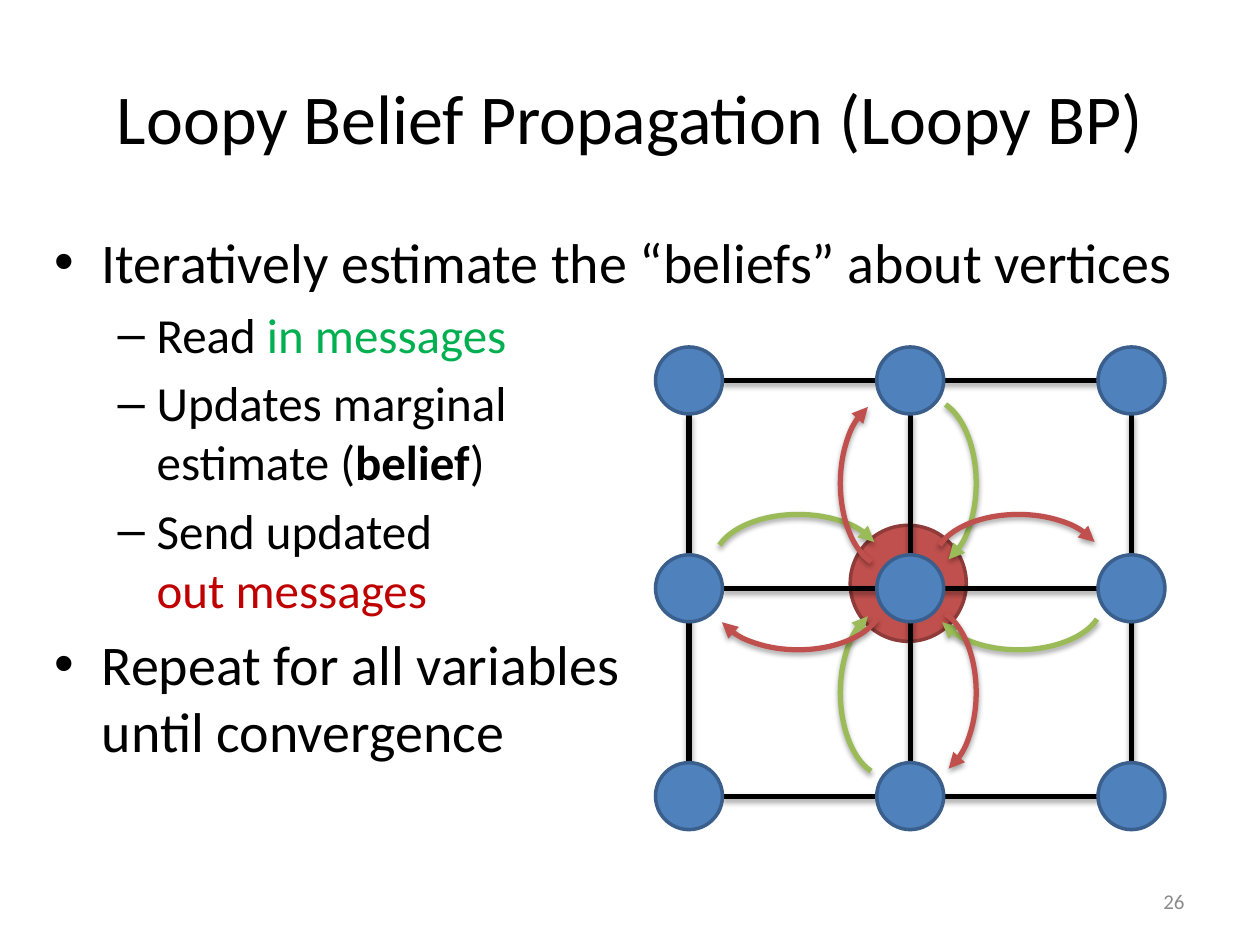
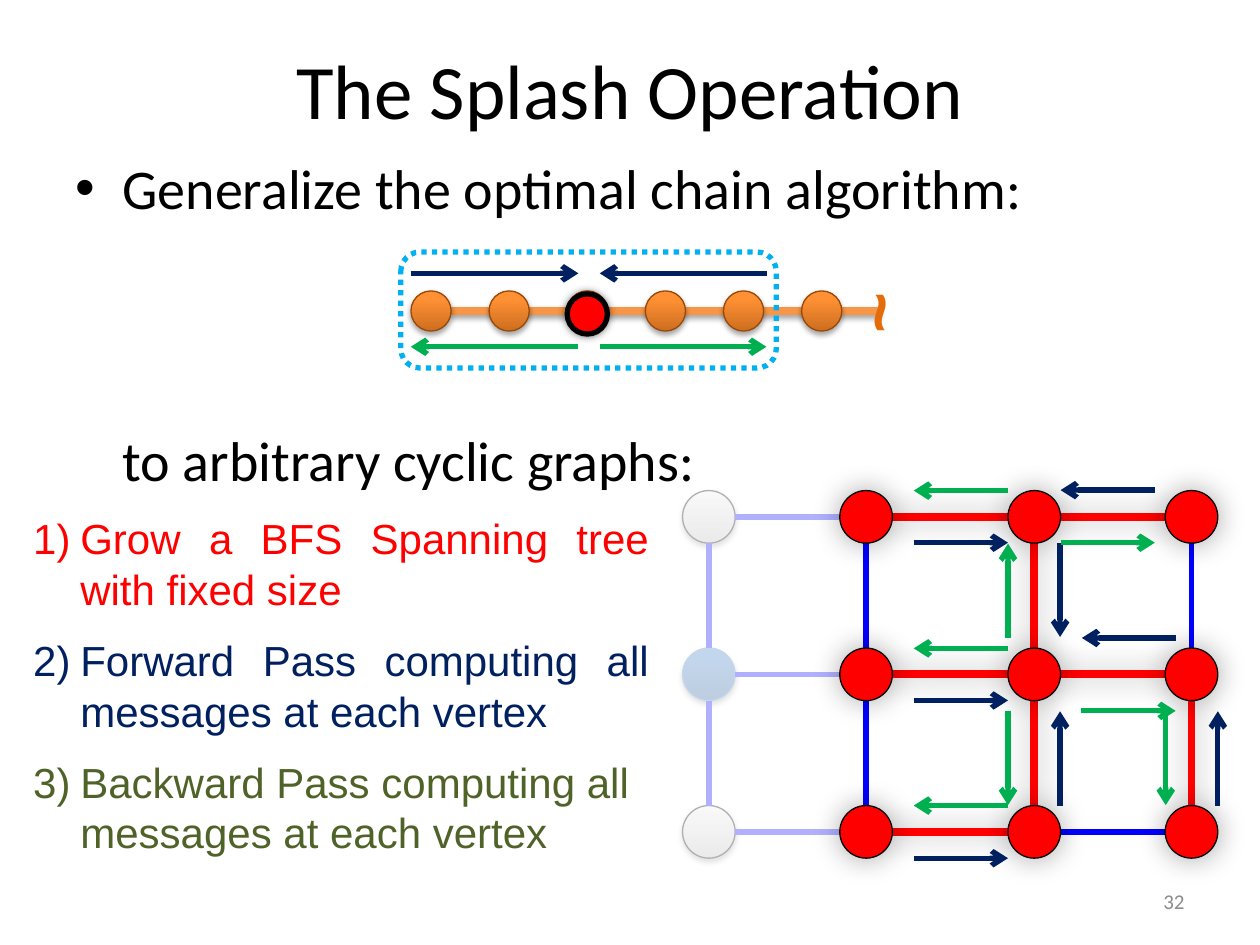
from lxml import etree
from pptx import Presentation
from pptx.dml.color import RGBColor
from pptx.enum.dml import MSO_LINE
from pptx.enum.shapes import MSO_CONNECTOR, MSO_SHAPE
from pptx.enum.text import MSO_ANCHOR, PP_ALIGN
from pptx.oxml.ns import qn
from pptx.util import Cm, Pt

STRAIGHT = MSO_CONNECTOR.STRAIGHT
OVAL, ARC = MSO_SHAPE.OVAL, MSO_SHAPE.ARC
RECT, ROUND = MSO_SHAPE.RECTANGLE, MSO_SHAPE.ROUNDED_RECTANGLE
DOTTED = MSO_LINE.ROUND_DOT
MIDDLE, TOP = MSO_ANCHOR.MIDDLE, MSO_ANCHOR.TOP
LEFT, CENTER, RIGHT = PP_ALIGN.LEFT, PP_ALIGN.CENTER, PP_ALIGN.RIGHT
JUSTIFY = PP_ALIGN.JUSTIFY

BLACK = RGBColor(0, 0, 0)
WHITE = RGBColor(255, 255, 255)
GRAY = RGBColor(0x8C, 0x8C, 0x8C)
STEEL = RGBColor(0x4F, 0x81, 0xBD)
STEEL_EDGE = RGBColor(0x3A, 0x5F, 0x8C)
BRICK = RGBColor(0xC0, 0x50, 0x4D)
BRICK_EDGE = RGBColor(0x8E, 0x3B, 0x39)
LIME = RGBColor(0x9B, 0xBB, 0x59)
GREEN = RGBColor(0, 0xB0, 0x50)
DARK_RED = RGBColor(0xC0, 0, 0)
RED = RGBColor(255, 0, 0)
BLUE = RGBColor(0, 0, 255)
NAVY = RGBColor(0, 0x20, 0x60)
OLIVE = RGBColor(0x4F, 0x62, 0x28)
SKY = RGBColor(0, 0xB0, 0xF0)
ORANGE = RGBColor(0xF7, 0x96, 0x46)
RUST = RGBColor(0x98, 0x48, 0x07)
TILDE = RGBColor(0xE4, 0x6C, 0x0A)
BLUE_EDGE = RGBColor(0x4B, 0x7E, 0xBC)
# Gradients: bottom colour, top colour, where the top colour is reached
AMBER = (RGBColor(0xCC, 0x6E, 0x20), RGBColor(0xFF, 0x90, 0x34), 0.8)
SILVER = (RGBColor(0xBD, 0xBD, 0xBD), RGBColor(0xEE, 0xEE, 0xEE), 1)
AZURE = (RGBColor(0x2F, 0x5F, 0x99), RGBColor(0x3D, 0x7C, 0xC7), 0.8)
# Shadows: opacity %, blur pt, distance pt, angle
SOFT = (35, 3.1, 1.8, 90)
GLOW = (35, 17, 0, 0)
HALO = (40, 5, 0, 0)


def pen(shape, color, width, shade=None, tip=None):
    """Set outline, shadow and end arrowhead."""
    shape.line.color.rgb = color
    shape.line.width = Pt(width)
    props = shape.element.spPr
    if tip:
        etree.SubElement(props.find(qn("a:ln")), qn("a:tailEnd"), type=tip)
    effects = etree.SubElement(props, qn("a:effectLst"))
    if shade:
        alpha, blur, dist, angle = shade
        outer = etree.SubElement(
            effects, qn("a:outerShdw"), blurRad=str(Pt(blur)), dist=str(Pt(dist)),
            dir=str(angle * 60000), algn="ctr", rotWithShape="0")
        tint = etree.SubElement(outer, qn("a:srgbClr"), val="000000")
        etree.SubElement(tint, qn("a:alpha"), val=str(alpha * 1000))
    return shape


def dot(page, x, y, size, fill, edge, width, shade=None):
    """Draw a circle around the point x, y."""
    disc = page.shapes.add_shape(
        OVAL, Cm(x - size / 2), Cm(y - size / 2), Cm(size), Cm(size))
    if isinstance(fill, RGBColor):
        disc.fill.solid()
        disc.fill.fore_color.rgb = fill
    else:
        disc.fill.gradient()
        disc.fill.gradient_angle = 90
        low, high = disc.fill.gradient_stops
        low.color.rgb, high.color.rgb, high.position = fill
        low.position = 0
    pen(disc, edge, width, shade)


deck = Presentation()
deck.slide_width, deck.slide_height = Cm(25.4), Cm(19.05)
loopy, splash = [deck.slides.add_slide(deck.slide_layouts[5]) for _ in range(2)]

# Loopy BP: grid of variables
cols = [13.89 + 4.46 * i for i in range(3)]
rows = [7.67 + 4.19 * i for i in range(3)]
SIZE = 1.35
dot(loopy, 18.31, 11.76, 2.34, BRICK, BRICK_EDGE, 2)
wires = [(cols[0] + SIZE / 2, y, cols[2] - SIZE / 2, y) for y in rows]
wires += [(x, rows[0] + SIZE / 2, x, rows[2] - SIZE / 2) for x in cols]
for ends in wires:
    pen(loopy.shapes.add_connector(STRAIGHT, *map(Cm, ends)), BLACK, 3, SOFT)
for y in rows:
    for x in cols:
        dot(loopy, x, y, SIZE, STEEL, STEEL_EDGE, 2)

# Loopy BP: messages into (green) and out of (red) the middle
for color, sign in ((LIME, 1), (BRICK, -1)):
    for turn, dx, dy in ((0, 0.42, -2.11 * sign), (90, 2.22 * sign, 0.3),
                         (180, -0.42, 2.11 * sign), (270, -2.22 * sign, -0.53)):
        arc = loopy.shapes.add_shape(
            ARC, Cm(18.31 + dx - 0.95), Cm(11.85 + dy - 1.69), Cm(1.9), Cm(3.38))
        arc.adjustments[0], arc.adjustments[1] = 169.09, 45.37
        arc.rotation = turn
        arc.fill.background()
        pen(arc, color, 3, SOFT, "triangle")

# Splash: chain
pen(splash.shapes.add_connector(STRAIGHT, Cm(9.09), Cm(6.27), Cm(17.73), Cm(6.27)),
    ORANGE, 4.5, SOFT)
for i in range(6):
    dot(splash, 8.69 + 1.575 * i, 6.27, 0.81, AMBER, RUST, 0.75, SOFT)
frame = splash.shapes.add_shape(ROUND, Cm(8.08), Cm(5.08), Cm(7.57), Cm(2.34))
frame.fill.background()
pen(frame, SKY, 3).line.dash_style = DOTTED
dot(splash, 11.84, 6.33, 0.81, RED, BLACK, 3, HALO)

# Splash: grid, with the first column under a pale veil
cols = [14.29, 17.46, 20.85, 24.02]
rows = [10.42 + 3.175 * i for i in range(3)]
SIZE = 1.06
REACH = SIZE / 2
edges = [(c, r, 1, 0) for c in range(3) for r in range(3)]
edges += [(c, r, 0, 1) for c in range(4) for r in range(2)]
plain = [(2, 2, 1, 0), (1, 0, 0, 1), (1, 1, 0, 1), (3, 0, 0, 1)]
faded = [e for e in edges if e[0] == 0]
tree = [e for e in edges if e[0] and e not in plain]
for r, fill, edge in ((0, SILVER, BLACK), (1, AZURE, BLUE_EDGE), (2, SILVER, BLACK)):
    dot(splash, cols[0], rows[r], SIZE, fill, edge, 0.75, SOFT)
for group, color, width, shade in ((faded, BLUE, 3, None), (plain + tree, BLUE, 3, None),
                                   (tree, RED, 4.5, GLOW)):
    for c, r, dx, dy in group:
        ends = (cols[c] + dx * REACH, rows[r] + dy * REACH,
                cols[c + dx] - dx * REACH, rows[r + dy] - dy * REACH)
        pen(splash.shapes.add_connector(STRAIGHT, *map(Cm, ends)), color, width, shade)
    if group is faded:
        veil = splash.shapes.add_shape(RECT, Cm(13.55), Cm(9.47), Cm(11.63), Cm(8.05))
        veil.shadow.inherit = False
        veil.fill.solid()
        veil.fill.fore_color.rgb = WHITE
        veil.line.fill.background()
        tint = veil.element.spPr.find(qn("a:solidFill")).find(qn("a:srgbClr"))
        etree.SubElement(tint, qn("a:alpha"), val="69000")
for x in cols[1:]:
    for y in rows:
        dot(splash, x, y, SIZE, RED, BLACK, 0.75, GLOW)

# Splash: forward (navy) and backward (green) arrows: x, y, dx, dy
STEP = 1.9
forward = [(18.42, y, STEP, 0) for y in (10.94, 14.12, 17.3)]
forward += [(23.28, 9.88, -STEP, 0), (23.71, 12.86, -STEP, 0), (21.37, 10.94, 0, STEP),
            (21.37, 16.24, 0, -STEP), (24.55, 16.24, 0, -STEP),
            (8.28, 5.51, 3.38, 0), (15.46, 5.51, -3.37, 0)]
backward = [(20.32, y, -STEP, 0) for y in (9.89, 13.07, 16.24)]
backward += [(21.38, 10.94, STEP, 0), (21.8, 14.33, STEP, 0), (20.32, 14.33, 0, STEP),
             (20.32, 12.86, 0, -STEP), (23.5, 14.33, 0, STEP),
             (11.66, 6.99, -3.38, 0), (12.09, 6.99, 3.36, 0)]
for color, group in ((NAVY, forward), (GREEN, backward)):
    for x, y, dx, dy in group:
        pen(splash.shapes.add_connector(STRAIGHT, Cm(x), Cm(y), Cm(x + dx), Cm(y + dy)),
            color, 3, None, "arrow")

# Titles
for page, text, size, top in ((loopy, "Loopy Belief Propagation (Loopy BP)", 40, 0.76),
                              (splash, "The Splash Operation", 44, 0.2)):
    title = page.shapes.title
    for name, value in dict(left=1.27, top=top, width=22.86, height=3.18).items():
        setattr(title, name, Cm(value))
    title.text_frame.text = text
    title.text_frame.vertical_anchor = MIDDLE
    para = title.text_frame.paragraphs[0]
    para.alignment = CENTER
    for name, value in dict(name="Calibri", size=Pt(size)).items():
        setattr(para.font, name, value)
    para.font.color.rgb = BLACK

# Paragraph kinds: font, size, left edge, hang, bullet, space before, alignment
HEAD = ("Calibri", 32, 0.95, 0.95, "•", 6.4, LEFT)
SUB = ("Calibri", 28, 2.06, 0.79, "–", 5.6, LEFT)
MORE = ("Calibri", 32, 0.95, 0, None, 117, LEFT)
STEPS = ("Arial", 24, 0.95, 0.95, "1)", 12, JUSTIFY)
LAST = STEPS[:-1] + (LEFT,)
NUMBER = ("Calibri", 12, 0, 0, None, 0, RIGHT)
WAVE = ("Arial", 40, 0, 0, None, 0, LEFT)
FOOT = (18.2, 17.66, 5.93, 1.01)

# Text boxes: slide, place, top inset, anchor, turn, paragraphs of (text, colour, bold)
boxes = [
    (loopy, (0.85, 4.45, 23.5, 11.85), 0.13, TOP, 0, [
        (HEAD, [("Iteratively estimate the “beliefs” about vertices", BLACK, False)]),
        (SUB, [("Read ", BLACK, False), ("in messages", GREEN, False)]),
        (SUB, [("Updates marginal\nestimate (", BLACK, False),
               ("belief", BLACK, True), (")", BLACK, False)]),
        (SUB, [("Send updated \n", BLACK, False), ("out messages", DARK_RED, False)]),
        (HEAD, [("Repeat for all variables\nuntil convergence", BLACK, False)])]),
    (splash, (1.27, 2.96, 23.07, 6.35), 0.13, TOP, 0, [
        (HEAD, [("Generalize the optimal chain algorithm:", BLACK, False)]),
        (MORE, [("to arbitrary cyclic graphs:", BLACK, False)])]),
    (splash, (0.42, 10.34, 12.91, 8.57), 0, TOP, 0, [
        (STEPS, [("Grow a BFS Spanning tree with fixed size", RED, False)]),
        (STEPS, [("Forward Pass computing all messages at each vertex", NAVY, False)]),
        (LAST, [("Backward Pass computing all messages at each vertex", OLIVE, False)])]),
    (splash, (16.81, 5.16, 1.68, 1.96), 0.13, TOP, 270, [(WAVE, [("~", TILDE, True)])]),
    (loopy, FOOT, 0.13, MIDDLE, 0, [(NUMBER, [("26", GRAY, False)])]),
    (splash, FOOT, 0.13, MIDDLE, 0, [(NUMBER, [("32", GRAY, False)])]),
]
for page, place, inset, anchor, turn, paras in boxes:
    box = page.shapes.add_textbox(*map(Cm, place))
    box.rotation = turn
    frame = box.text_frame
    for name, value in dict(word_wrap=True, margin_top=Cm(inset),
                            vertical_anchor=anchor).items():
        setattr(frame, name, value)
    for i, (kind, runs) in enumerate(paras):
        font, size, left, hang, mark, space, align = kind
        para = frame.add_paragraph() if i else frame.paragraphs[0]
        para.space_before, para.alignment = Pt(space), align
        props = para._p.get_or_add_pPr()
        props.set("marL", str(Cm(left)))
        props.set("indent", str(-Cm(hang)))
        if mark == "1)":
            etree.SubElement(props, qn("a:buFont"), typeface="+mj-lt")
            etree.SubElement(props, qn("a:buAutoNum"), type="arabicParenR")
        elif mark:
            etree.SubElement(props, qn("a:buFont"), typeface="Arial")
            etree.SubElement(props, qn("a:buChar"), char=mark)
        for text, color, bold in runs:
            for n, part in enumerate(text.split("\n")):
                if n:
                    para.add_line_break()
                if part:
                    run = para.add_run()
                    run.text = part
                    for name, value in dict(name=font, size=Pt(size), bold=bold).items():
                        setattr(run.font, name, value)
                    run.font.color.rgb = color

deck.save("out.pptx")
